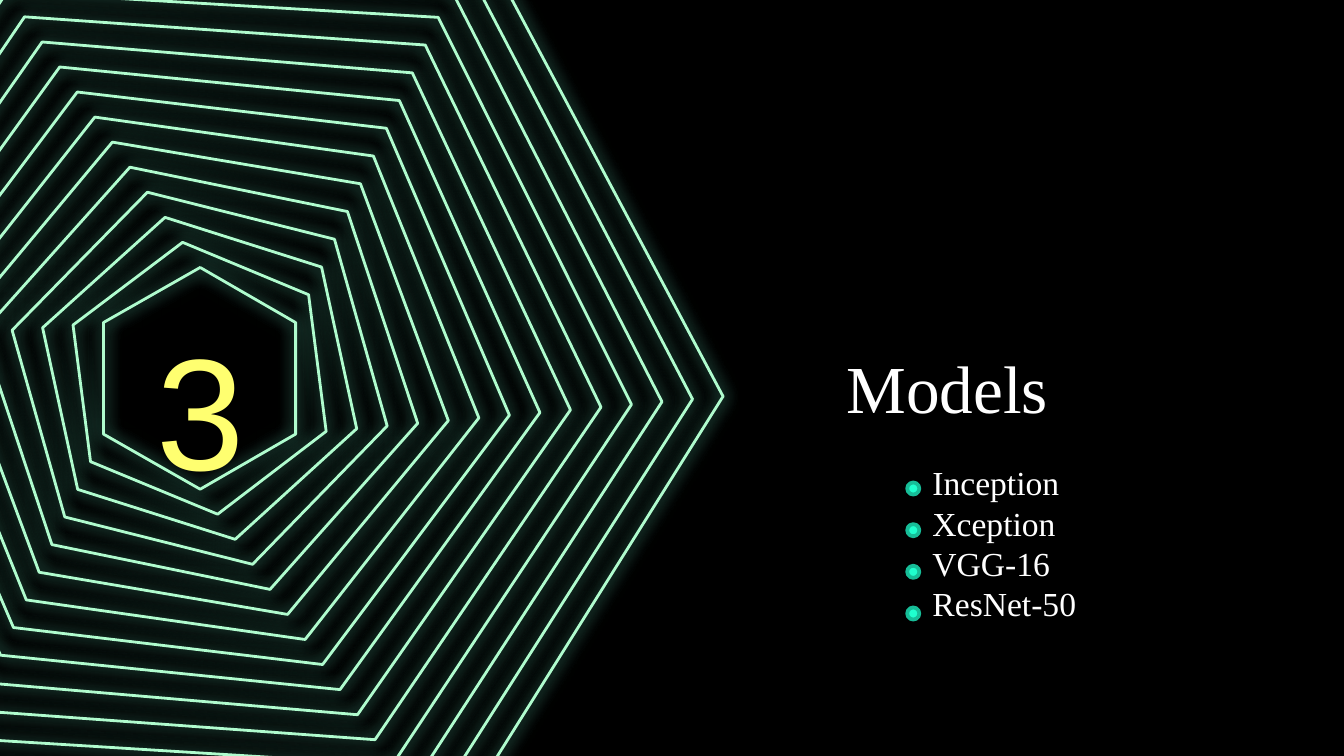
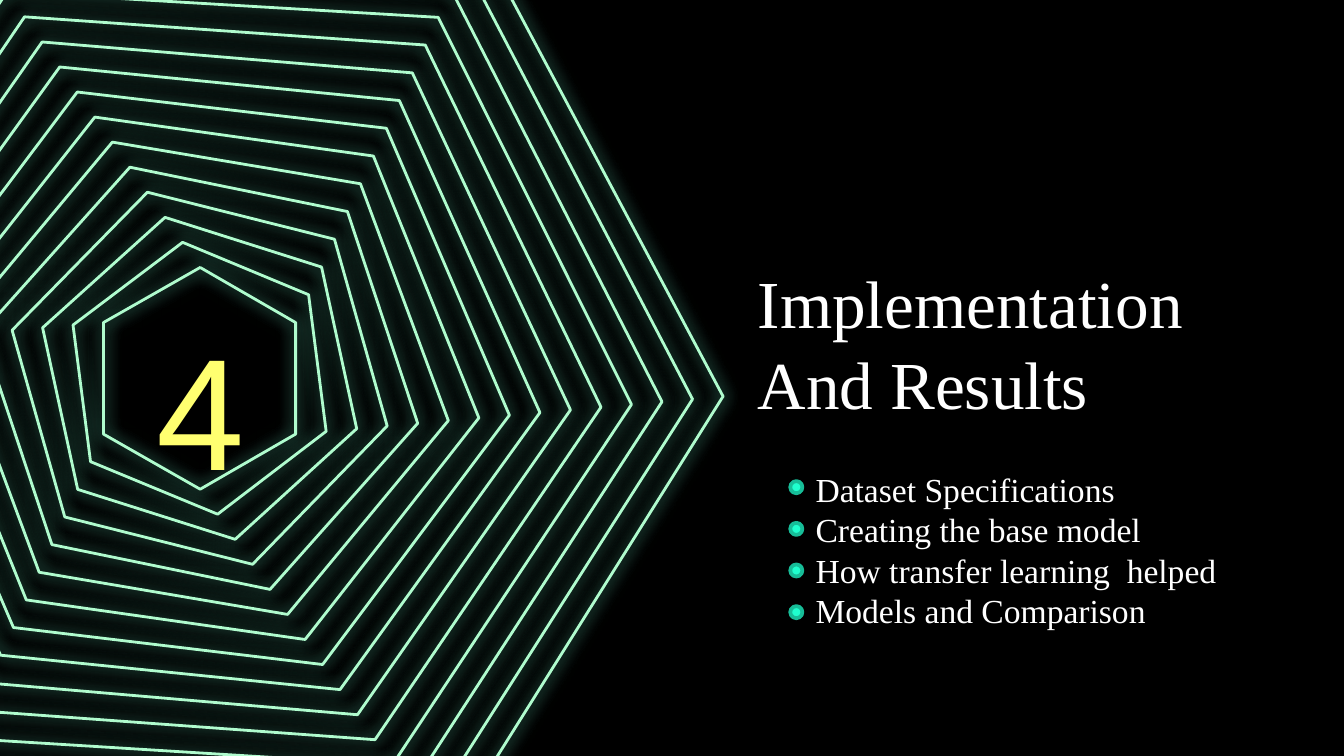
"""Build two section slides with a number inside nested glowing hexagons."""
from dataclasses import dataclass

from lxml import etree
from pptx import Presentation
from pptx import util as u
from pptx.dml.color import RGBColor
from pptx.enum import shapes, text
from pptx.oxml.ns import qn


@dataclass(frozen=True)
class Theme:
    background: str = "000000"
    hexagon: str = "B0FCCE"
    glow: str = "75FFD7"
    number: str = "FFFF70"
    words: str = "FFFFFF"
    dot: str = "1FFFCE"
    dot_edge: str = "17BD98"
    number_font: str = "Arial"
    words_font: str = "Times New Roman"
    number_size: int = 85
    heading_size: int = 36
    topic_size: int = 18


THEME = Theme()
INNER = [(0.77, 2.4), (1.49, 1.99), (2.2, 2.4), (2.2, 3.23), (1.49, 3.64), (0.77, 3.23)]
OUTER = [(-2.4, 2.67), (-0.34, -0.62), (3.55, -0.49), (5.38, 2.95), (3.31, 6.25), (-0.57, 6.11)]
RINGS = 15
DOT_SIZE = 0.09
DOT_PITCH = 0.31

SECTIONS = [
    {
        "number": "3",
        "heading": "Models",
        "heading_box": (6.2, 2.35, 2.42, 1.05),
        "topics": ["Inception", "Xception", "VGG-16", "ResNet-50"],
        "topics_box": (6.84, 3.39, 1.44, 1.62),
        "first_dot": (6.75, 3.59),
    },
    {
        "number": "4",
        "heading": "Implementation\vAnd Results",
        "heading_box": (5.54, 2.02, 4.02, 1.05),
        "topics": [
            "Dataset Specifications",
            "Creating the base model",
            "How transfer learning  helped",
            "Models and Comparison",
        ],
        "topics_box": (5.97, 3.44, 3.84, 1.62),
        "first_dot": (5.88, 3.58),
    },
]


def add_text(slide, box, lines, font, size, color, align=text.PP_ALIGN.LEFT):
    frame = slide.shapes.add_textbox(*map(u.Inches, box)).text_frame
    frame.word_wrap = True
    for index, line in enumerate(lines):
        paragraph = frame.paragraphs[0] if index == 0 else frame.add_paragraph()
        paragraph.text = line
        paragraph.alignment = align
        for run in paragraph.runs:
            run.font.name = font
            run.font.size = u.Pt(size)
            run.font.color.rgb = RGBColor.from_string(color)
    return frame


def center_in_box(frame):
    frame.vertical_anchor = text.MSO_ANCHOR.MIDDLE
    frame.margin_left = frame.margin_right = u.Inches(0.1)
    frame.margin_top = frame.margin_bottom = u.Inches(0.1)


deck = Presentation()
deck.slide_width = u.Inches(10)
deck.slide_height = u.Inches(5.625)

for section in SECTIONS:
    slide = deck.slides.add_slide(deck.slide_layouts[6])
    slide.background.fill.solid()
    slide.background.fill.fore_color.rgb = RGBColor.from_string(THEME.background)

    for ring in range(RINGS):
        share = ring / (RINGS - 1)
        corners = [
            (u.Inches(x0 + (x1 - x0) * share), u.Inches(y0 + (y1 - y0) * share))
            for (x0, y0), (x1, y1) in zip(INNER, OUTER)
        ]
        outline = slide.shapes.build_freeform(*corners[0])
        outline.add_line_segments(corners[1:], close=True)
        hexagon = outline.convert_to_shape()
        hexagon.fill.background()
        hexagon.line.color.rgb = RGBColor.from_string(THEME.hexagon)
        hexagon.line.width = u.Pt(1.5)
        hexagon.shadow.inherit = False
        effects = hexagon._element.spPr.find(qn("a:effectLst"))
        glow = etree.SubElement(
            effects, qn("a:outerShdw"), blurRad=str(u.Pt(9)), dist="0", dir="0",
            algn="ctr", rotWithShape="0",
        )
        glow_color = etree.SubElement(glow, qn("a:srgbClr"), val=THEME.glow)
        etree.SubElement(glow_color, qn("a:alpha"), val="90000")

    number = add_text(
        slide, (0.61, 2.35, 1.76, 1.36), [section["number"]],
        THEME.number_font, THEME.number_size, THEME.number, text.PP_ALIGN.CENTER,
    )
    center_in_box(number)
    heading = add_text(
        slide, section["heading_box"], [section["heading"]],
        THEME.words_font, THEME.heading_size, THEME.words,
    )
    center_in_box(heading)
    topics = add_text(
        slide, section["topics_box"], section["topics"],
        THEME.words_font, THEME.topic_size, THEME.words,
    )
    topics.auto_size = text.MSO_AUTO_SIZE.SHAPE_TO_FIT_TEXT

    dot_left, dot_top = section["first_dot"]
    for row in range(len(section["topics"])):
        dot = slide.shapes.add_shape(
            shapes.MSO_SHAPE.OVAL, u.Inches(dot_left), u.Inches(dot_top + row * DOT_PITCH),
            u.Inches(DOT_SIZE), u.Inches(DOT_SIZE),
        )
        dot.shadow.inherit = False
        dot.fill.solid()
        dot.fill.fore_color.rgb = RGBColor.from_string(THEME.dot)
        dot.line.color.rgb = RGBColor.from_string(THEME.dot_edge)
        dot.line.width = u.Pt(2)

deck.save("out.pptx")
